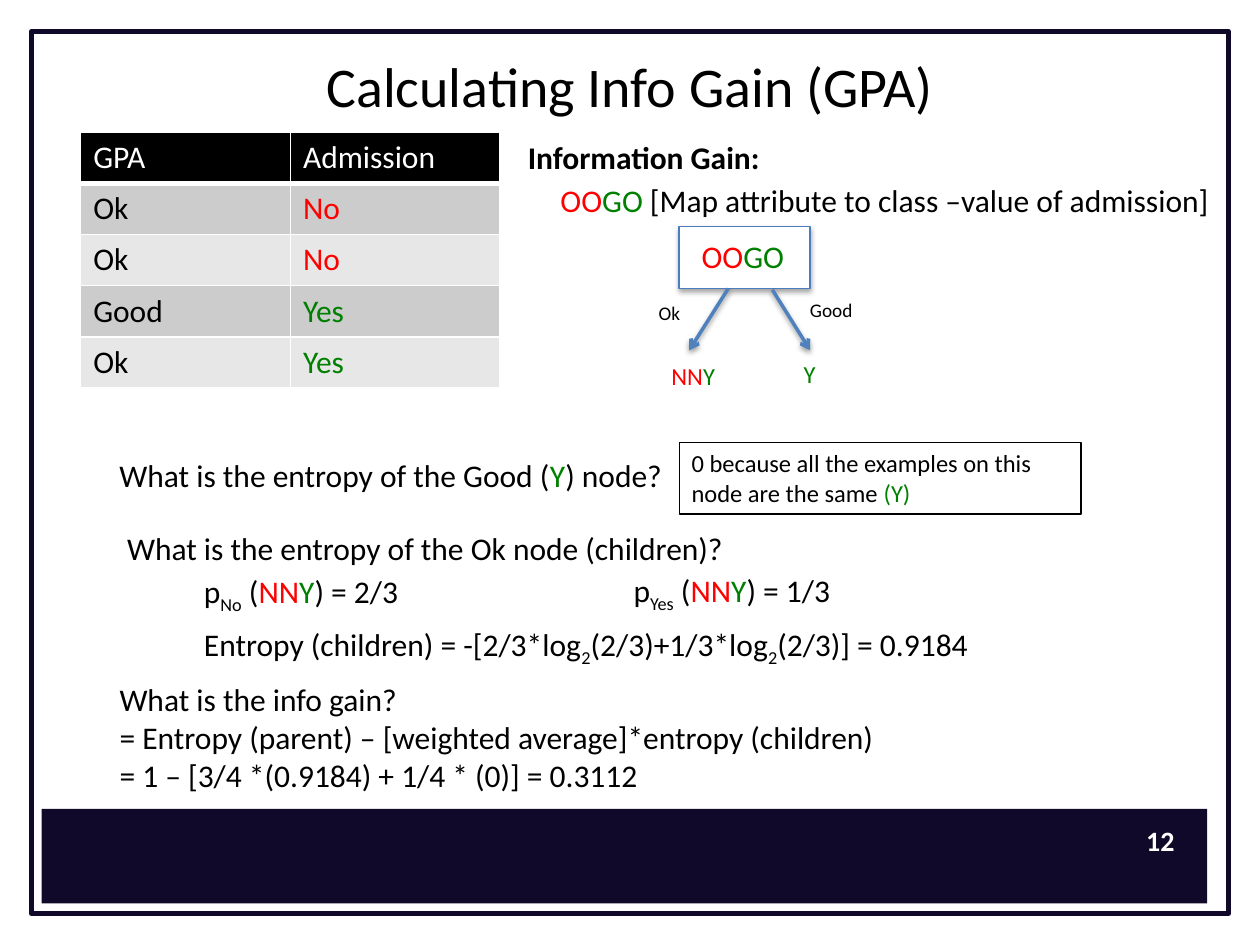
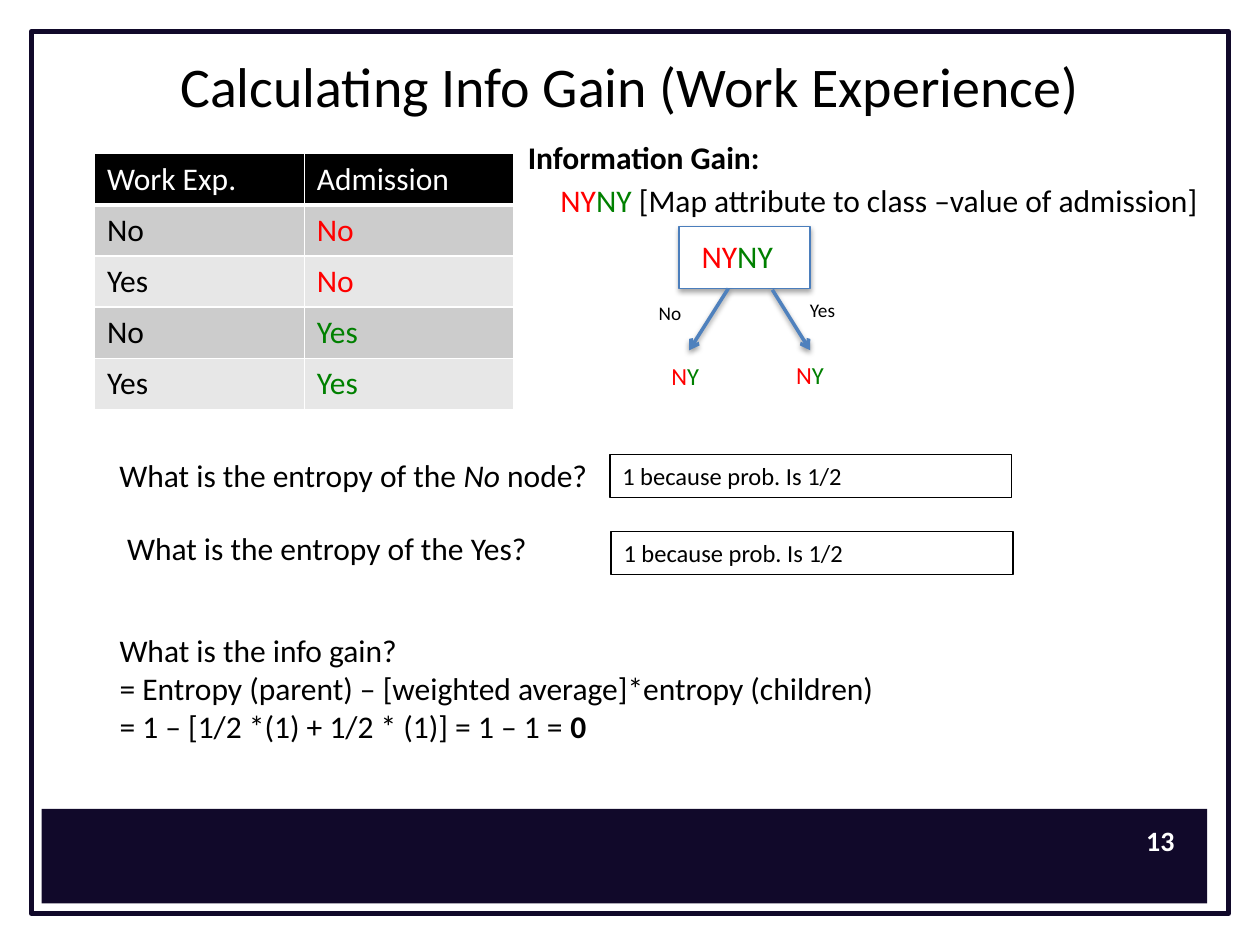
import pptx
import pptx.dml.color
import pptx.enum.shapes
import pptx.enum.text
import pptx.oxml
import pptx.oxml.ns
import pptx.util

COLUMNS, ROWS = 100, 75
FONT = "Calibri"
NAVY, BLACK, WHITE = "11092A", "000000", "FFFFFF"
BLUE, OUTLINE = "4F81BD", "4B7EBC"
BANDS = ("CCCCCC", "E7E7E7")
STYLE_COLOURS = {"red": "FF0000", "green": "008000", "white": WHITE, "number": WHITE}
NAMESPACE = pptx.oxml.ns.nsdecls("a")
RECTANGLE = pptx.enum.shapes.MSO_SHAPE.RECTANGLE
STRAIGHT = pptx.enum.shapes.MSO_CONNECTOR.STRAIGHT
MIDDLE = pptx.enum.text.MSO_ANCHOR.MIDDLE
ALIGN = pptx.enum.text.PP_ALIGN


def colour(value):
    return pptx.dml.color.RGBColor.from_string(value)


def soft_shadow(opacity, distance):
    return pptx.oxml.parse_xml(
        f'<a:effectLst {NAMESPACE}><a:outerShdw blurRad="{pptx.util.Pt(3.1)}" '
        f'dist="{pptx.util.Pt(distance)}" dir="5400000" rotWithShape="0">'
        f'<a:srgbClr val="{BLACK}"><a:alpha val="{opacity * 1000}"/></a:srgbClr>'
        "</a:outerShdw></a:effectLst>")


class Deck:
    """Holds the shared style and the slide being filled, on a grid of 100 columns by 75 rows."""

    def __init__(self):
        self.presentation = pptx.Presentation()
        self.presentation.slide_width = pptx.util.Inches(10)
        self.presentation.slide_height = pptx.util.Inches(7.5)
        self.layout = self.presentation.slide_layouts.get_by_name("Title Only")
        self.slide = None
        title = self.layout.placeholders[0]
        title.left, title.top, title.width, title.height = self.place(5, 3, 90, 7.5)

    def place(self, *lengths):
        steps = (self.presentation.slide_width / COLUMNS, self.presentation.slide_height / ROWS)
        return [round(length * steps[index % 2]) for index, length in enumerate(lengths)]

    def add_runs(self, frame, paragraphs, size, align=ALIGN.LEFT):
        for index, runs in enumerate(paragraphs):
            paragraph = frame.paragraphs[0] if index == 0 else frame.add_paragraph()
            paragraph.alignment = align
            for item in runs:
                text, style = (item, "") if isinstance(item, str) else item
                run = paragraph.add_run()
                run.text = text
                run.font.name = FONT
                run.font.size = pptx.util.Pt(size)
                run.font.bold = style in ("bold", "number")
                run.font.italic = style == "italic"
                run.font.color.rgb = colour(STYLE_COLOURS.get(style, BLACK))
                if style == "sub":
                    run.font._element.set("baseline", "-25000")

    def start_slide(self, title, number):
        first = self.slide is None
        self.slide = self.presentation.slides.add_slide(self.layout)
        if first:
            border = self.rectangle(2.5, 2.5, 95, 70, line=NAVY, weight=3)
            band = self.rectangle(3.3, 64.2, 92.5, 7.5, fill=NAVY)
            for shape in (border, band):
                self.layout.shapes.element.append(shape.element)
        frame = self.slide.shapes.title.text_frame
        frame.vertical_anchor = MIDDLE
        self.add_runs(frame, [[title]], 32, ALIGN.CENTER)
        self.text(72.5, 61.7, 21.7, 10, [[(number, "number")]], 16, ALIGN.RIGHT, MIDDLE)

    def rectangle(self, left, top, width, height, fill=None, line=None, weight=0.75):
        shape = self.slide.shapes.add_shape(RECTANGLE, *self.place(left, top, width, height))
        shape.shadow.inherit = False
        if fill:
            shape.fill.solid()
            shape.fill.fore_color.rgb = colour(fill)
        else:
            shape.fill.background()
        if line:
            shape.line.color.rgb = colour(line)
            shape.line.width = pptx.util.Pt(weight)
        else:
            shape.line.fill.background()
        return shape

    def text(self, left, top, width, height, paragraphs, size=18, align=ALIGN.LEFT, anchor=None):
        box = self.slide.shapes.add_textbox(*self.place(left, top, width, height))
        box.text_frame.word_wrap = True
        if anchor is not None:
            box.text_frame.vertical_anchor = anchor
        self.add_runs(box.text_frame, paragraphs, size, align)
        return box

    def answer(self, left, top, height, runs):
        box = self.text(left, top, 31.9, height, [runs], 14)
        box.line.color.rgb = colour(BLACK)
        box.line.width = pptx.util.Pt(0.75)

    def arrow(self, *ends):
        connector = self.slide.shapes.add_connector(STRAIGHT, *self.place(*ends))
        connector.line.color.rgb = colour(BLUE)
        connector.line.width = pptx.util.Pt(2)
        connector.line._get_or_add_ln().append(
            pptx.oxml.parse_xml(f'<a:tailEnd {NAMESPACE} type="arrow"/>'))
        connector._element.spPr.append(soft_shadow(38, 1.6))

    def border_cell(self, cell, bottom):
        properties = cell._tc.get_or_add_tcPr()
        for side, weight in (("L", 1), ("R", 1), ("T", 1), ("B", bottom)):
            properties.append(pptx.oxml.parse_xml(
                f'<a:ln{side} {NAMESPACE} w="{pptx.util.Pt(weight)}"><a:solidFill>'
                f'<a:srgbClr val="{WHITE}"/></a:solidFill></a:ln{side}>'))

    def admission_table(self, left, top, attribute, values):
        records = [(attribute, "Admission"), *zip(values, ("No", "No", "Yes", "Yes"))]
        frame = self.slide.shapes.add_table(
            len(records), 2, *self.place(left, top, 33.3, 20.3))
        for row, record in enumerate(records):
            for column, value in enumerate(record):
                cell = frame.table.cell(row, column)
                self.border_cell(cell, 1 if row else 3)
                cell.fill.solid()
                cell.fill.fore_color.rgb = colour(BANDS[(row - 1) % 2] if row else BLACK)
                if row == 0:
                    style = "white"
                elif column == 1:
                    style = "red" if value == "No" else "green"
                else:
                    style = ""
                self.add_runs(cell.text_frame, [[(value, style)]], 18)

    def split_diagram(self, root, branches, left_node, right_node, right_at):
        self.text(43.5, 13.9, 55, 4,
                  [[*root, " [Map attribute to class –value of admission]"]])
        self.text(40.9, 10.5, 30.5, 4, [[("Information Gain:", "bold")]])
        box = self.rectangle(53.9, 18, 10.4, 4.9, WHITE, OUTLINE)
        box._element.spPr.remove(box._element.spPr.find(pptx.oxml.ns.qn("a:effectLst")))
        box._element.spPr.append(soft_shadow(35, 1.8))
        self.text(54.7, 18.3, 9.3, 4, [root])
        self.arrow(57.8, 22.9, 54.7, 27.8)
        self.arrow(61.3, 23, 64.3, 27.8)
        self.text(51.3, 23.4, 5, 2.9, [[branches[0]]], 11)
        self.text(63.3, 23.2, 6, 2.9, [[branches[1]]], 11)
        self.text(52.3, 28.2, 6, 3.4, [left_node], 14)
        self.text(*right_at, 5, 3.4, [right_node], 14)

    def questions(self, first, second):
        self.text(8.5, 35.7, 46, 4, [first])
        self.text(9.1, 41.5, 52.1, 4, [second])

    def info_gain(self, top, result):
        self.text(8.5, top, 69.1, 13.1, [
            ["What is the info gain?"],
            ["= Entropy (parent) – [weighted average]*entropy (children)"],
            result])


def gpa_slide(deck):
    mixed = [("NN", "red"), ("Y", "green")]
    deck.start_slide("Calculating Info Gain (GPA)", "12")
    deck.admission_table(6.4, 10.5, "GPA", ("Ok", "Ok", "Good", "Ok"))
    deck.split_diagram([("OO", "red"), ("GO", "green")], ("Ok", "Good"),
                       mixed, [("Y", "green")], (62.8, 28))
    deck.questions(["What is the entropy of the Good (", ("Y", "green"), ") node?"],
                   ["What is the entropy of the Ok node (children)?"])
    deck.answer(53.9, 35.1, 5.7,
                ["0 because all the examples on this node are the same ", ("(Y)", "green")])
    for left, top, outcome, share in ((15.2, 44.9, "No", "2/3"), (49.3, 44.8, "Yes", "1/3")):
        deck.text(left, top, 31.4, 4, [["p", (outcome, "sub"), " (", *mixed, f") = {share}"]])
    deck.text(15.2, 49.1, 68.8, 4, [[
        "Entropy (children) = -[2/3*log", ("2", "sub"), "(2/3)+1/3*log", ("2", "sub"),
        "(2/3)] = 0.9184"]])
    deck.info_gain(53.5, ["= 1 – [3/4 *(0.9184) + 1/4 * (0)] = 0.3112"])


def work_experience_slide(deck):
    even = [("N", "red"), ("Y", "green")]
    deck.start_slide("Calculating Info Gain (Work Experience)", "13")
    deck.split_diagram([("NY", "red"), ("NY", "green")], ("No", "Yes"),
                       even, even, (62.2, 28.1))
    deck.questions(["What is the entropy of the ", ("No", "italic"), " node?"],
                   ["What is the entropy of the Yes?"])
    for left, top in ((48.4, 36.1), (48.5, 42.2)):
        deck.answer(left, top, 3.4, ["1 because prob. Is 1/2"])
    deck.info_gain(49.6, ["= 1 – [1/2 *(1) + 1/2 * (1)] = 1 – 1 = ", ("0", "bold")])
    deck.admission_table(7.5, 12.2, "Work Exp.", ("No", "Yes", "No", "Yes"))


def main():
    deck = Deck()
    gpa_slide(deck)
    work_experience_slide(deck)
    deck.presentation.save("out.pptx")


if __name__ == "__main__":
    main()
